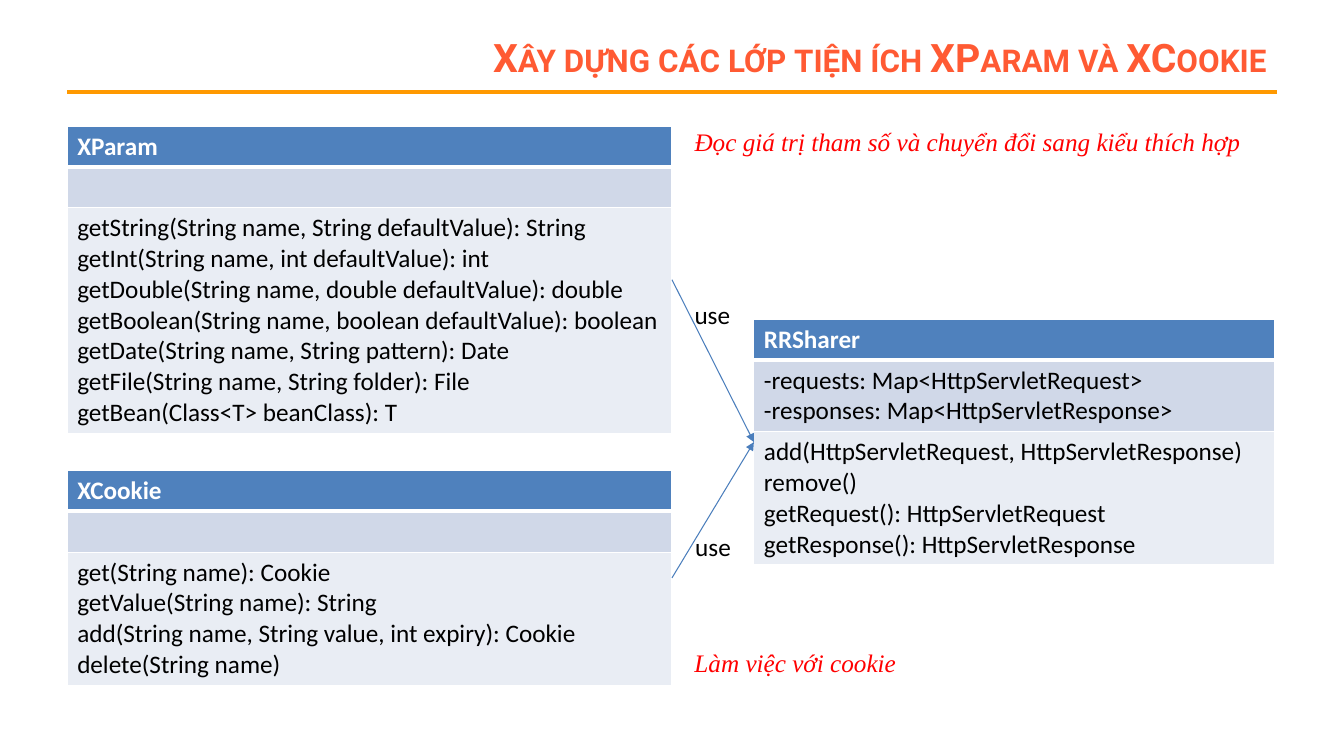
from dataclasses import dataclass

from lxml import etree
from pptx import Presentation
from pptx import util as u
from pptx.dml.color import RGBColor
from pptx.enum import shapes, text
from pptx.oxml.ns import qn
from pptx.shapes.connector import Connector
from pptx.shapes.graphfrm import GraphicFrame
from pptx.slide import Slide
from pptx.table import _Cell
from pptx.text.text import Font


@dataclass(frozen=True)
class Theme:
    title_font: str = "Roboto"
    code_font: str = "Calibri"
    note_font: str = "Times New Roman"
    title_size: float = 28
    body_size: float = 18
    title: str = "FF5A33"
    rule: str = "FF9900"
    header: str = "4F81BD"
    fields: str = "D0D8E8"
    methods: str = "E9EDF4"
    arrow: str = "4B7EBC"
    note: str = "FF0000"
    ink: str = "000000"
    paper: str = "FFFFFF"


@dataclass(frozen=True)
class ClassBox:
    name: str
    left: float
    top: float
    width: float
    fields: tuple[str, ...]
    methods: tuple[str, ...]


@dataclass(frozen=True)
class Label:
    words: str
    left: float
    top: float
    width: float
    font: str
    color: str
    italic: bool = False


THEME = Theme()
LINE_HEIGHT = 22
CELL_PADDING = 7.2

XPARAM = ClassBox("XParam", 48, 90, 432, (), (
    "getString(String name, String defaultValue): String",
    "getInt(String name, int defaultValue): int",
    "getDouble(String name, double defaultValue): double",
    "getBoolean(String name, boolean defaultValue): boolean",
    "getDate(String name, String pattern): Date",
    "getFile(String name, String folder): File",
    "getBean(Class<T> beanClass): T",
))
XCOOKIE = ClassBox("XCookie", 48, 336, 432, (), (
    "get(String name): Cookie",
    "getValue(String name): String",
    "add(String name, String value, int expiry): Cookie",
    "delete(String name)",
))
RRSHARER = ClassBox("RRSharer", 538.5, 228, 372, (
    "-requests: Map<HttpServletRequest>",
    "-responses: Map<HttpServletResponse>",
), (
    "add(HttpServletRequest, HttpServletResponse)",
    "remove()",
    "getRequest(): HttpServletRequest",
    "getResponse(): HttpServletResponse",
))
LABELS = (
    Label("use", 489, 210.5, 40, THEME.code_font, THEME.ink),
    Label("use", 489.5, 376, 40, THEME.code_font, THEME.ink),
    Label("Đọc giá trị tham số và chuyển đổi sang kiểu thích hợp",
          489, 86.5, 408, THEME.note_font, THEME.note, True),
    Label("Làm việc với cookie", 489, 458.5, 160, THEME.note_font, THEME.note, True),
)


def style_font(font: Font, name: str, size: float, color: str,
               bold: bool = False, italic: bool = False) -> None:
    font.name, font.size = name, u.Pt(size)
    font.bold, font.italic = bold, italic
    font.color.rgb = RGBColor.from_string(color)


def add_title(slide: Slide, words: str) -> None:
    title = slide.shapes.title
    title.left, title.top = u.Pt(176), u.Pt(21.5)
    title.width, title.height = u.Pt(736), u.Pt(38)
    frame = title.text_frame
    frame.text = words
    frame.auto_size = text.MSO_AUTO_SIZE.NONE
    frame.vertical_anchor = text.MSO_ANCHOR.MIDDLE
    heading = frame.paragraphs[0]
    heading.alignment = text.PP_ALIGN.RIGHT
    style_font(heading.runs[0].font, THEME.title_font, THEME.title_size, THEME.title, bold=True)
    heading.runs[0].font._element.set("cap", "small")


def add_line(slide: Slide, start: tuple[float, float], end: tuple[float, float],
             color: str, weight: float) -> Connector:
    line = slide.shapes.add_connector(
        shapes.MSO_CONNECTOR.STRAIGHT, *(u.Pt(value) for value in (*start, *end)))
    line.line.color.rgb = RGBColor.from_string(color)
    line.line.width = u.Pt(weight)
    etree.SubElement(line._element.spPr, qn("a:effectLst"))
    return line


def set_borders(cell: _Cell, bottom: float) -> None:
    properties = cell._tc.get_or_add_tcPr()
    for side, weight in (("L", 1), ("R", 1), ("T", 1), ("B", bottom)):
        border = etree.SubElement(properties, qn(f"a:ln{side}"), w=str(u.Pt(weight)))
        fill = etree.SubElement(border, qn("a:solidFill"))
        etree.SubElement(fill, qn("a:srgbClr"), val=THEME.paper)


def add_class(slide: Slide, box: ClassBox) -> GraphicFrame:
    """Add a class diagram table: name, fields and methods, one row each."""
    sections = (
        ((box.name,), THEME.header, THEME.paper, True),
        (box.fields, THEME.fields, THEME.ink, False),
        (box.methods, THEME.methods, THEME.ink, False),
    )
    heights = [max(1, len(lines)) * LINE_HEIGHT + CELL_PADDING for lines, *_ in sections]
    frame = slide.shapes.add_table(
        len(sections), 1, u.Pt(box.left), u.Pt(box.top), u.Pt(box.width), u.Pt(sum(heights)))
    table = frame.table
    table.horz_banding = False
    for index, (lines, fill, ink, is_header) in enumerate(sections):
        table.rows[index].height = u.Pt(heights[index])
        cell = table.cell(index, 0)
        set_borders(cell, 3 if is_header else 1)
        cell.fill.solid()
        cell.fill.fore_color.rgb = RGBColor.from_string(fill)
        cell.text_frame.text = "\n".join(lines)
        for paragraph in cell.text_frame.paragraphs:
            for run in paragraph.runs:
                style_font(run.font, THEME.code_font, THEME.body_size, ink, is_header)
    return frame


def add_use_arrow(slide: Slide, user: GraphicFrame, used: GraphicFrame) -> None:
    arrow = add_line(slide, (0, 0), (0, 0), THEME.arrow, 0.75)
    arrow.begin_connect(user, 3)
    arrow.end_connect(used, 1)
    outline = arrow._element.spPr.find(qn("a:ln"))
    etree.SubElement(outline, qn("a:tailEnd"), type="triangle")


def add_label(slide: Slide, label: Label) -> None:
    box = slide.shapes.add_textbox(
        u.Pt(label.left), u.Pt(label.top), u.Pt(label.width), u.Pt(29))
    frame = box.text_frame
    frame.text = label.words
    frame.word_wrap = False
    frame.auto_size = text.MSO_AUTO_SIZE.SHAPE_TO_FIT_TEXT
    style_font(frame.paragraphs[0].runs[0].font, label.font, THEME.body_size,
               label.color, italic=label.italic)


def main() -> None:
    deck = Presentation()
    deck.slide_width, deck.slide_height = u.Pt(960), u.Pt(540)
    slide = deck.slides.add_slide(deck.slide_layouts.get_by_name("Title Only"))
    add_line(slide, (48, 66), (912, 66), THEME.rule, 3)
    add_title(slide, "Xây dựng các lớp tiện ích XParam và XCookie")
    xparam, xcookie, rrsharer = (add_class(slide, box) for box in (XPARAM, XCOOKIE, RRSHARER))
    for user in (xparam, xcookie):
        add_use_arrow(slide, user, rrsharer)
    for label in LABELS:
        add_label(slide, label)
    deck.save("out.pptx")


if __name__ == "__main__":
    main()
